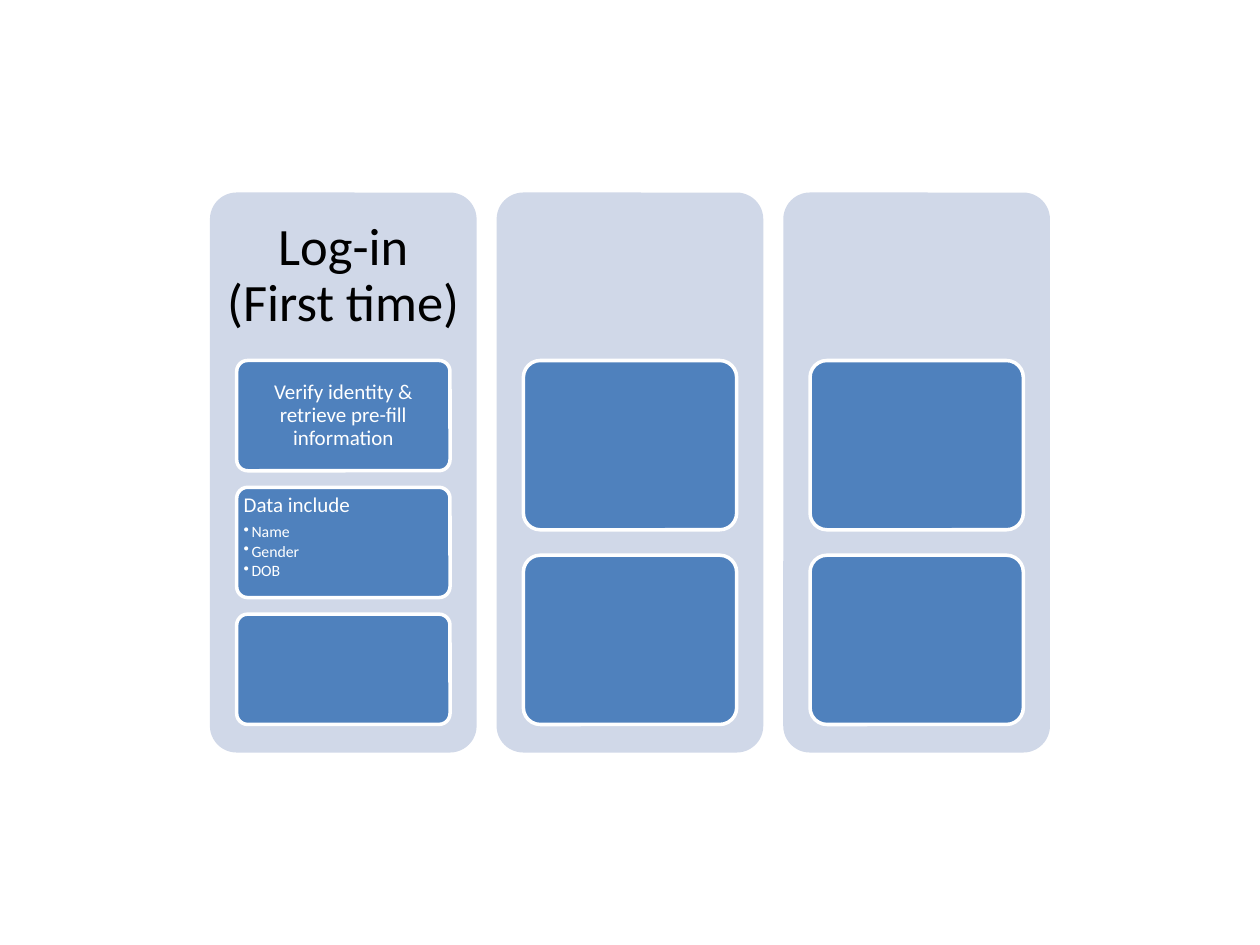
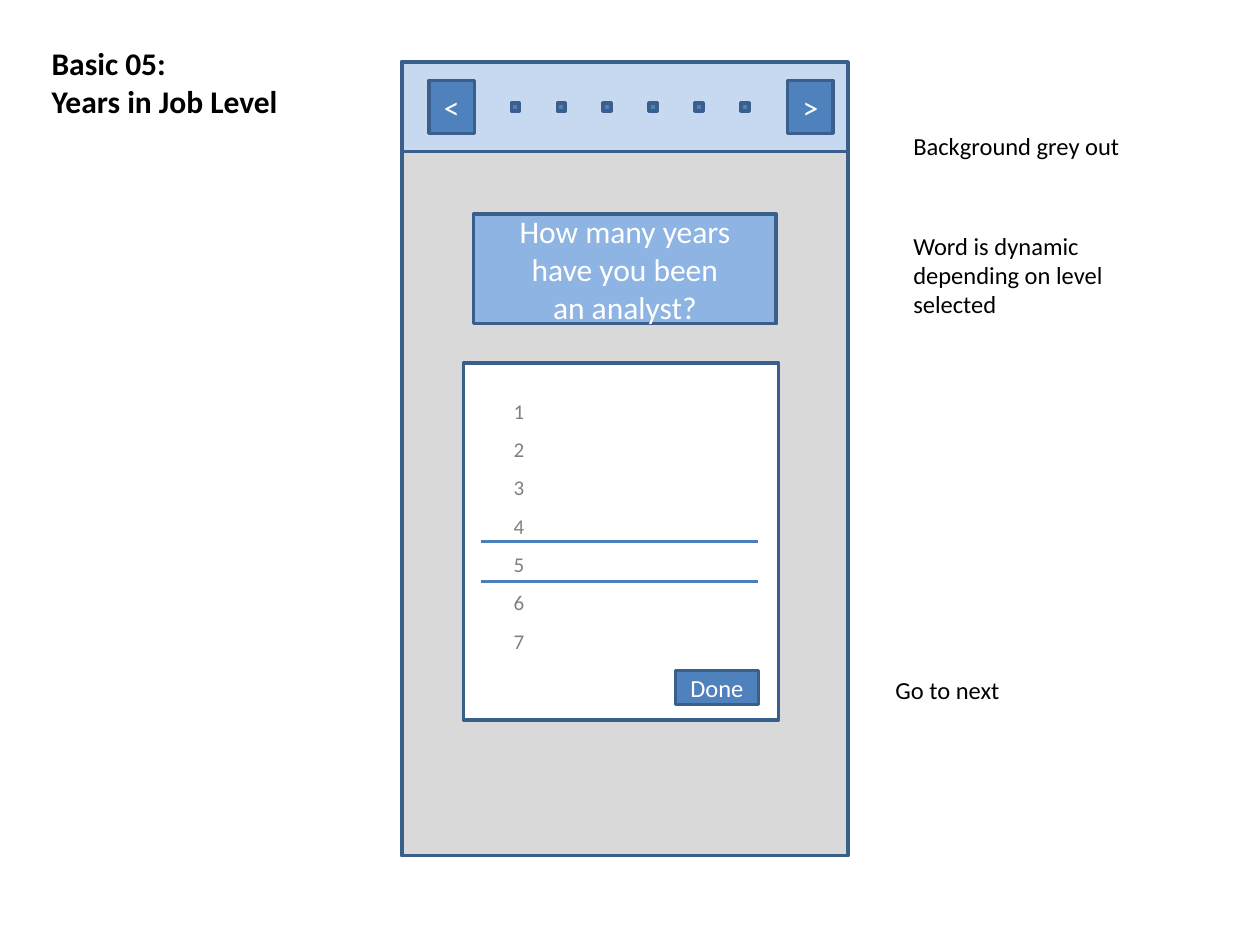
from lxml.etree import SubElement
from pptx import Presentation
from pptx.dml.color import RGBColor
from pptx.enum.shapes import MSO_CONNECTOR, MSO_SHAPE
from pptx.enum.text import MSO_ANCHOR, MSO_AUTO_SIZE, PP_ALIGN
from pptx.oxml.ns import qn
from pptx.util import Pt

FONT = "Calibri"
WHITE = RGBColor(0xFF, 0xFF, 0xFF)
BLACK = RGBColor(0x00, 0x00, 0x00)
BLUE = RGBColor(0x4F, 0x81, 0xBD)
NAVY = RGBColor(0x3A, 0x5F, 0x8C)
RULE = RGBColor(0x4B, 0x7E, 0xBC)
PALE = RGBColor(0xD0, 0xD8, 0xE8)
SKY = RGBColor(0x8E, 0xB4, 0xE3)
ICE = RGBColor(0xC6, 0xD9, 0xF1)
GREY = RGBColor(0xD9, 0xD9, 0xD9)
SLATE = RGBColor(0x80, 0x80, 0x80)


def style(par, size, color, align=PP_ALIGN.LEFT, bold=False):
    """Format a paragraph and its runs."""
    par.alignment = align
    for run in par.runs:
        font = run.font
        font.name, font.size, font.bold = FONT, Pt(size), bold
        font.color.rgb = color


def write(frame, text, size, color, align=PP_ALIGN.LEFT, anchor=MSO_ANCHOR.TOP, bold=False):
    """Fill a text frame with evenly styled paragraphs."""
    frame.word_wrap = True
    frame.vertical_anchor = anchor
    frame.text = text
    for par in frame.paragraphs:
        style(par, size, color, align, bold)


def pad(frame, inset):
    """Give a text frame equal margins."""
    frame.margin_left = frame.margin_right = Pt(inset)
    frame.margin_top = frame.margin_bottom = Pt(inset)


def block(slide, x, y, w, h, fill, line=NAVY, round=False):
    """Draw a plain or rounded box."""
    kind = MSO_SHAPE.ROUNDED_RECTANGLE if round else MSO_SHAPE.RECTANGLE
    shape = slide.shapes.add_shape(kind, Pt(x), Pt(y), Pt(w), Pt(h))
    shape.shadow.inherit = False
    shape.fill.solid()
    shape.fill.fore_color.rgb = fill
    if round:
        shape.adjustments[0] = 0.1
    if line is None:
        shape.line.fill.background()
    else:
        shape.line.color.rgb = line
        shape.line.width = Pt(2)
    return shape


def button(slide, x, y, w, h, text, size, fill=BLUE):
    """Draw a box with centred white text."""
    shape = block(slide, x, y, w, h, fill)
    write(shape.text_frame, text, size, WHITE, PP_ALIGN.CENTER, MSO_ANCHOR.MIDDLE)


def label(slide, x, y, w, h, text, size):
    """Place free black text."""
    box = slide.shapes.add_textbox(Pt(x), Pt(y), Pt(w), Pt(h))
    write(box.text_frame, text, size, BLACK)
    return box


def space(par, after):
    """Set tight lines and the gap below."""
    par.line_spacing = 0.9
    par.space_after = Pt(after)


def bullet(par):
    """Turn a paragraph into a small bullet."""
    par.level = 1
    props = par._p.get_or_add_pPr()
    props.set("marL", str(Pt(4.5)))
    props.set("indent", str(-Pt(4.5)))
    SubElement(props, qn("a:buChar")).set("char", "•")
    style(par, 9, WHITE)
    space(par, 1.35)


def card(slide, x, y, w, h, text):
    """Draw a card: one centred line, or a head with bullets."""
    shape = block(slide, x, y, w, h, BLUE, WHITE, True)
    if not text:
        return
    frame = shape.text_frame
    pad(frame, 2.16)
    listed = "\n" in text
    align = PP_ALIGN.LEFT if listed else PP_ALIGN.CENTER
    anchor = MSO_ANCHOR.TOP if listed else MSO_ANCHOR.MIDDLE
    write(frame, text, 12, WHITE, align, anchor)
    head, *items = frame.paragraphs
    space(head, 4.2)
    for par in items:
        bullet(par)


def panel(slide, x, y, w, h, title, cards):
    """Draw a column with a heading and stacked cards."""
    block(slide, x, y, w, h, PALE, None, True)
    if title:
        box = label(slide, x, y, w, h * 0.3, title, 30)
        frame = box.text_frame
        pad(frame, 9)
        frame.vertical_anchor = MSO_ANCHOR.MIDDLE
        frame.paragraphs[0].alignment = PP_ALIGN.CENTER
        space(frame.paragraphs[0], 10.5)
    count = len(cards)
    tall = h * 0.65 / (count + 0.15 * (count - 1))
    for i, text in enumerate(cards):
        card(slide, x + w * 0.1, y + h * 0.3 + i * tall * 1.15, w * 0.8, tall, text)


def flow(slide, x, y, w, h):
    """Lay out three equal panels."""
    first = ["Verify identity & retrieve pre-fill information",
             "Data include\nName\nGender\nDOB", ""]
    panels = [("Log-in (First time)", first), ("", ["", ""]), ("", ["", ""])]
    wide = w / 3.15
    for i, (title, cards) in enumerate(panels):
        panel(slide, x + i * wide * 1.075, y, wide, h, title, cards)


def border(cell):
    """Give a cell thin white edges."""
    props = cell._tc.get_or_add_tcPr()
    for side in ("lnL", "lnR", "lnT", "lnB"):
        edge = SubElement(props, qn(f"a:{side}"), w=str(Pt(1)))
        fill = SubElement(edge, qn("a:solidFill"))
        SubElement(fill, qn("a:srgbClr"), val=str(WHITE))


def years(slide, x, y, w, h, count=7):
    """Build the table of years."""
    shape = slide.shapes.add_table(count, 1, Pt(x), Pt(y), Pt(w), Pt(h))
    table = shape.table
    table.first_row = table.horz_banding = False
    for i, row in enumerate(table.rows):
        row.height = Pt(h / count)
        cell = row.cells[0]
        cell.text = str(i + 1)
        cell.vertical_anchor = MSO_ANCHOR.MIDDLE
        style(cell.text_frame.paragraphs[0], 12, SLATE)
        border(cell)
        cell.fill.background()


def picker(slide, x, y, w, h):
    """Draw the year picker with its rules and button."""
    block(slide, x, y, w, h, WHITE)
    years(slide, x + 21.4, y + 17.2, 136, 153.2)
    for down in (102.2, 124.8):
        line = slide.shapes.add_connector(
            MSO_CONNECTOR.STRAIGHT, Pt(x + 10), Pt(y + down), Pt(x + 168.5), Pt(y + down))
        line.line.color.rgb = RULE
        line.line.width = Pt(1.5)
        SubElement(line._element.spPr, qn("a:effectLst"))
    button(slide, x + 121, y + 175.8, 47.5, 19.4, "Done", 14)


def top_bar(slide, x, y, w, h):
    """Draw the bar with arrows and step dots."""
    block(slide, x, y, w, h, ICE)
    for left, sign in ((15.5, "<"), (220.5, ">")):
        button(slide, x + left, y + 10.6, 26, 30.2, sign, 18)
    for i in range(6):
        block(slide, x + 62.6 + i * 26.25, y + 23.5, 4.5, 4.5, BLUE)


def phone(slide, x, y, w, h):
    """Draw the phone screen."""
    block(slide, x, y, w, h, GREY)
    button(slide, x + 41, y + 87, 173, 62.6,
           "How many years have you been\nan analyst?", 18, SKY)
    picker(slide, x + 35.3, y + 172, 180, 204)
    top_bar(slide, x, y, w, 51.2)


def heading(slide, x, y, w, h, text):
    """Place the slide title."""
    title = slide.shapes.title
    title.left, title.top, title.width, title.height = Pt(x), Pt(y), Pt(w), Pt(h)
    write(title.text_frame, text, 18, BLACK, bold=True)
    title.text_frame.auto_size = MSO_AUTO_SIZE.NONE


def notes(slide, x, y, w):
    """Place the remarks beside the phone."""
    label(slide, x, y, w, 24.2, "Background grey out", 14)
    label(slide, x, y + 57, w, 58.2, "Word is dynamic depending on level selected", 14)
    label(slide, x - 10.2, y + 311, w, 24.2, "Go to next", 14)


def main():
    """Build and save both slides."""
    deck = Presentation()
    deck.slide_width, deck.slide_height = Pt(720), Pt(540)
    flow(deck.slides.add_slide(deck.slide_layouts[6]), 120, 110, 480, 320)
    slide = deck.slides.add_slide(deck.slide_layouts[5])
    heading(slide, 22.3, 21.8, 156, 51, "Basic 05:\nYears in Job Level")
    phone(slide, 229.6, 35.4, 255, 453.6)
    notes(slide, 514.8, 71.2, 161.3)
    deck.save("out.pptx")


if __name__ == "__main__":
    main()
